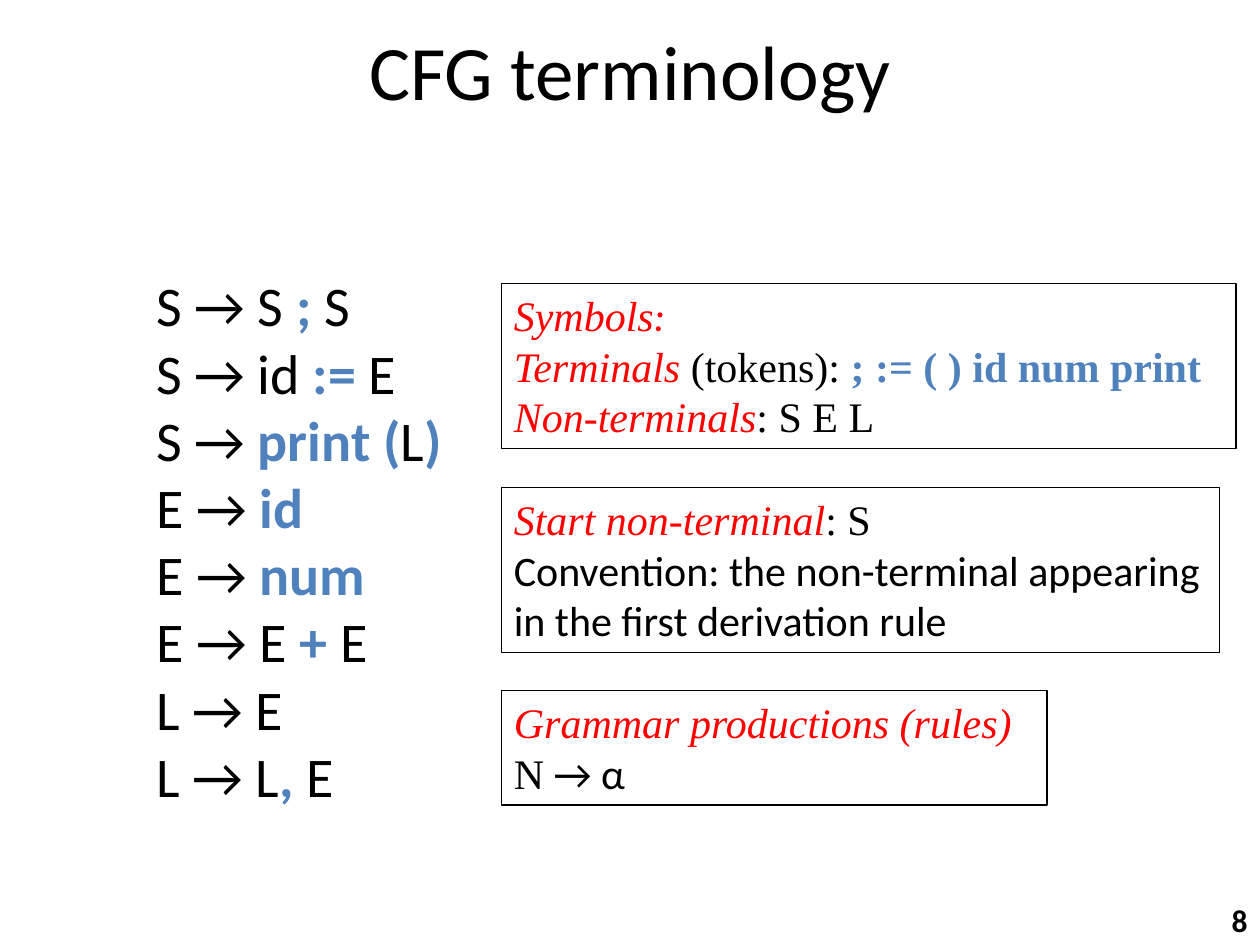
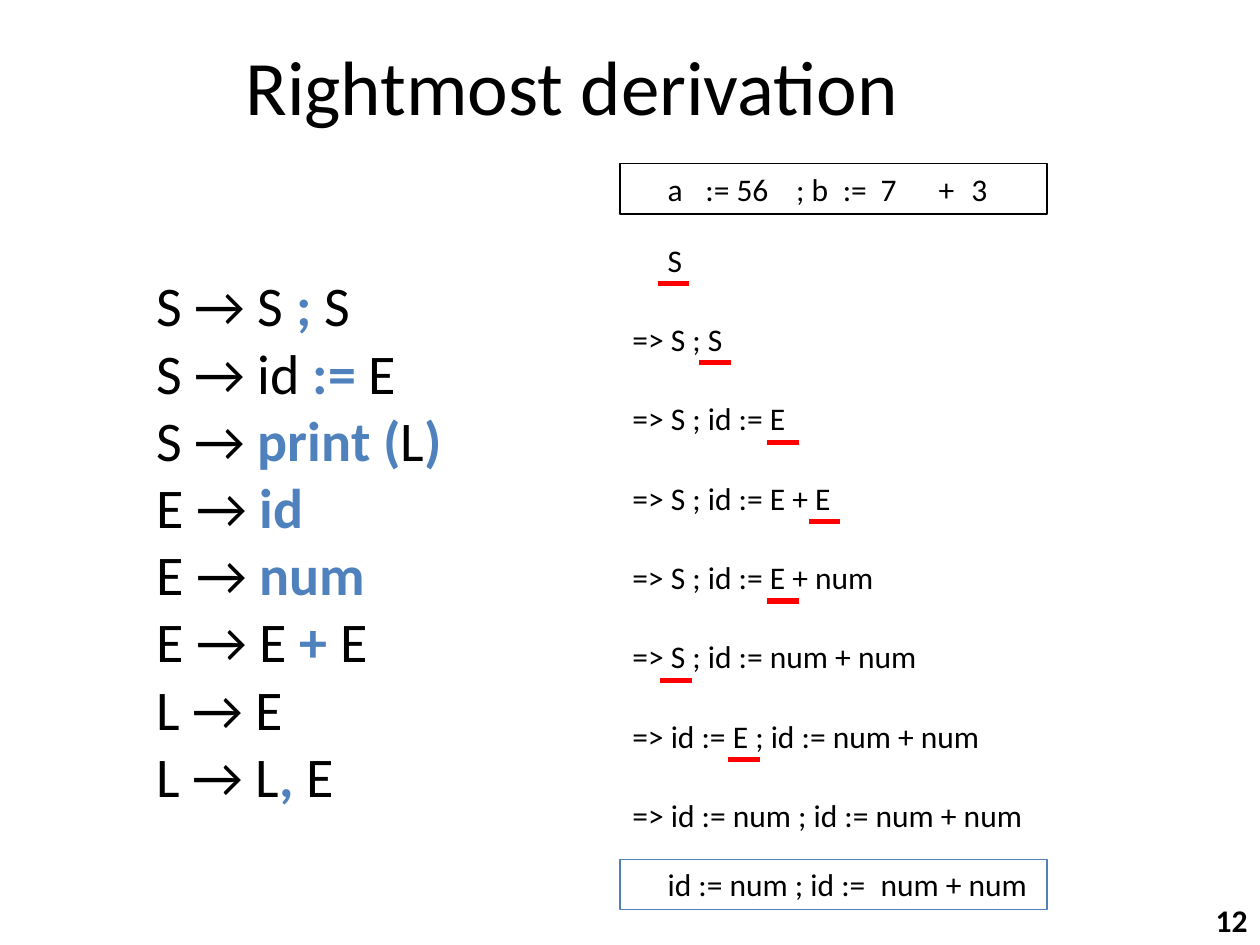
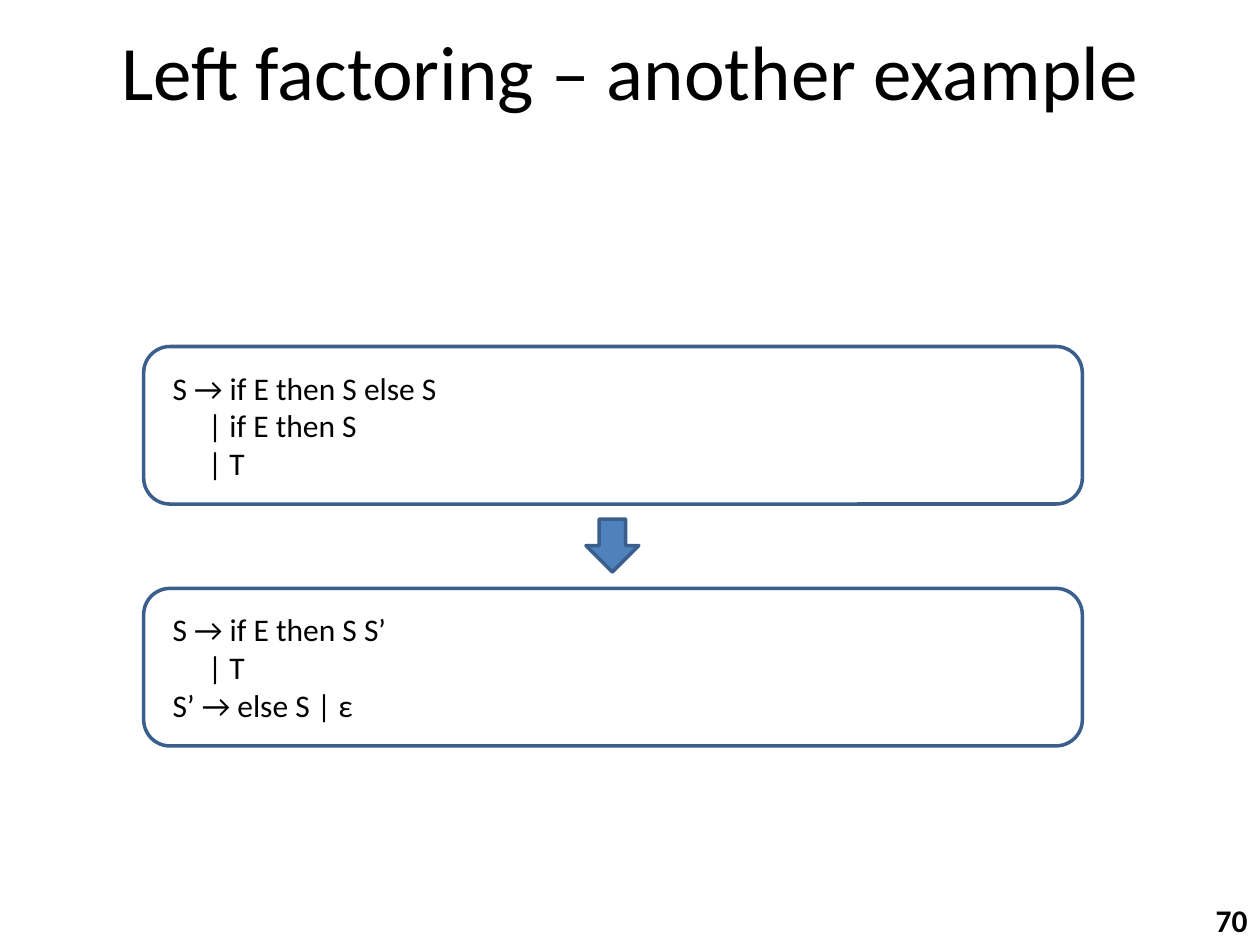
from dataclasses import dataclass
from typing import NamedTuple

from lxml import etree
from pptx import Presentation
from pptx.dml.color import RGBColor
from pptx.enum.shapes import MSO_CONNECTOR, MSO_SHAPE
from pptx.enum.text import MSO_ANCHOR, MSO_AUTO_SIZE, PP_ALIGN
from pptx.oxml.ns import qn
from pptx.util import Inches, Pt

RECT, ROUND, DOWN = MSO_SHAPE.RECTANGLE, MSO_SHAPE.ROUNDED_RECTANGLE, MSO_SHAPE.DOWN_ARROW
STRAIGHT = MSO_CONNECTOR.STRAIGHT
TOP, MIDDLE = MSO_ANCHOR.TOP, MSO_ANCHOR.MIDDLE
LEFT, CENTER, RIGHT = PP_ALIGN.LEFT, PP_ALIGN.CENTER, PP_ALIGN.RIGHT
GROW, FIXED = MSO_AUTO_SIZE.SHAPE_TO_FIT_TEXT, MSO_AUTO_SIZE.NONE
WIDE, HIGH = Inches(10), Inches(7.5)


@dataclass(frozen=True)
class Theme:
    black: str = "000000"
    blue: str = "4F81BD"
    navy: str = "3A5F8C"
    red: str = "FF0000"
    sans: str = "Calibri"
    serif: str = "Times New Roman"
    title: int = 44
    rules: int = 32
    note: int = 24
    small: int = 18
    thin: float = 0.75
    mid: float = 2
    thick: float = 3


THEME = Theme()


class Style(NamedTuple):
    font: str = THEME.sans
    color: str = THEME.black
    bold: bool = False
    italic: bool = False


PLAIN = Style()
TOKEN = Style(color=THEME.blue, bold=True)
HEAVY = Style(bold=True)
SERIF = Style(THEME.serif)
TERM = Style(THEME.serif, THEME.red, italic=True)


class Run(NamedTuple):
    text: str
    style: Style = PLAIN


class Line(NamedTuple):
    runs: list[Run]
    indent: float = 0
    tabs: tuple[float, ...] = ()


class Box(NamedTuple):
    """Place and size in percent of the slide."""
    x: float
    y: float
    w: float
    h: float

    def place(self) -> tuple[int, int, int, int]:
        return across(self.x), down(self.y), across(self.w), down(self.h)


class Step(NamedTuple):
    text: str
    width: float
    mark: float | None = None
    indent: float = 0


def across(share: float) -> int:
    return round(WIDE * share / 100)


def down(share: float) -> int:
    return round(HIGH * share / 100)


# Shared places
HEAD = Box(5, 1.73, 90, 11.33)
PAGE = Box(94.9, 94.67, 5.1, 5.33)
GRAMMAR = Box(11.4, 28, 25.2, 58.8)
GAP = 0.28  # inches, the inset of lines that hang under an arrow

# Parts at odd places are tokens
RULES = [
    ("S → S ", "; ", "S"),
    ("S → id ", ":= ", "E"),
    ("S → ", "print (", "L", ")"),
    ("E → ", "id"),
    ("E → ", "num"),
    ("E → E ", "+ ", "E"),
    ("L → E",),
    ("L → L", ", ", "E"),
]

# Slide 1: terms
NOTES = [
    (Box(39.8, 30, 58.3, 17.47), True, [
        Run("Symbols", TERM),
        Run(": \n", Style(color=THEME.red, italic=True)),
        Run("Terminals ", TERM),
        Run("(tokens): ", SERIF),
        Run("; := ( ) id num print\n", Style(THEME.serif, THEME.blue, bold=True)),
        Run("Non-terminals", TERM),
        Run(": S E L", SERIF),
    ]),
    (Box(39.8, 51.6, 57, 17.47), False, [
        Run("Start non-terminal", TERM),
        Run(": S\n", SERIF),
        Run("Convention: the non-terminal appearing\nin the first derivation rule"),
    ]),
    (Box(39.8, 73.07, 43.3, 12.13), True, [
        Run("Grammar productions (rules)\n", TERM),
        Run("N", SERIF),
        Run(" → α"),
    ]),
]

# Slide 2: derivation, marks give the left end of each underline
STEPS = [
    Step("S", 6.1, 52.2, GAP),
    Step("=> S ; S", 11.8, 55.5),
    Step("=> S ; id := E", 18.9, 60.9),
    Step("=> S ; id := E + E", 18.9, 64.2),
    Step("=> S ; id := E + num", 23.6, 60.9),
    Step("=> S ; id := num + num", 26.8, 52.4),
    Step("=> id := E ; id := num + num", 30.7, 57.8),
    Step("=> id := num ; id := num + num", 33.9),
]
STEP_X, STEP_Y, STEP_W, STEP_H, PITCH = 49.2, 24.8, 33.9, 5.33, 8.4
MARK_DROP, MARK_W = 5.2, 2.5
ENDS = [
    (17.33, THEME.black, "\ta\t:= 56\t; b\t:=\t7\t+\t3",
     (GAP, 0.58, 1.3, 1.67, 1.97, 2.43, 2.69)),
    (90.93, THEME.blue, "\tid := num ; id :=\tnum + num", (GAP, 1.97)),
]

# Slide 3: factoring, each line with its indent in inches
BASE = 0.07
FORMS = [
    (36.67, [("S → if E then S else S", BASE), ("| if E then S", BASE + GAP),
             ("| T", BASE + GAP)]),
    (62.27, [("S → if E then S S’", BASE), ("| T", BASE + GAP),
             ("S’ → else S | ε", BASE)]),
]
ARROW = Box(46.5, 54.93, 4.2, 5.6)


def write(shape, lines: list[Line], size: float, align=LEFT, anchor=TOP,
          fit=GROW, wrap: bool = True) -> None:
    frame = shape.text_frame
    frame.word_wrap, frame.auto_size, frame.vertical_anchor = wrap, fit, anchor
    for i, line in enumerate(lines):
        para = frame.add_paragraph() if i else frame.paragraphs[0]
        para.alignment = align
        props = para._p.get_or_add_pPr()
        if line.indent:
            props.set("marL", str(Inches(line.indent)))
            props.set("indent", "0")
        if line.tabs:
            stops = etree.SubElement(props, qn("a:tabLst"))
            for stop in line.tabs:
                etree.SubElement(stops, qn("a:tab"), pos=str(Inches(stop)), algn="l")
        for text, style in line.runs:
            for j, part in enumerate(text.split("\n")):
                if j:
                    para.add_line_break()
                if part:
                    run = para.add_run()
                    run.text = part
                    font = run.font
                    font.name, font.size = style.font, Pt(size)
                    font.bold, font.italic = style.bold, style.italic
                    font.color.rgb = RGBColor.from_string(style.color)


def label(slide, box: Box, lines: list[Line], size: float, **format) -> None:
    write(slide.shapes.add_textbox(*box.place()), lines, size, **format)


def panel(slide, kind, box: Box, color: str, width: float, fill: str | None = None):
    shape = slide.shapes.add_shape(kind, *box.place())
    shape.shadow.inherit = False
    shape.line.color.rgb = RGBColor.from_string(color)
    shape.line.width = Pt(width)
    if fill:
        shape.fill.solid()
        shape.fill.fore_color.rgb = RGBColor.from_string(fill)
    else:
        shape.fill.background()
    return shape


def underline(slide, x: float, y: float) -> None:
    line = slide.shapes.add_connector(
        STRAIGHT, across(x), down(y), across(x + MARK_W), down(y))
    line.line.color.rgb = RGBColor.from_string(THEME.red)
    line.line.width = Pt(THEME.thick)
    etree.SubElement(line._element.spPr, qn("a:effectLst"))


def start(deck, title: str, page: int, head: Box = HEAD):
    slide = deck.slides.add_slide(deck.slide_layouts[5])
    name = slide.shapes.title
    name.left, name.top, name.width, name.height = head.place()
    write(name, [Line([Run(title)])], THEME.title, CENTER, MIDDLE, FIXED)
    label(slide, PAGE, [Line([Run(str(page), HEAVY)])], THEME.small,
          align=RIGHT, fit=FIXED)
    return slide


def grammar(slide) -> None:
    lines = [Line([Run(part, TOKEN if i % 2 else PLAIN) for i, part in enumerate(rule)])
             for rule in RULES]
    label(slide, GRAMMAR, lines, THEME.rules)


def terms(deck) -> None:
    slide = start(deck, "CFG terminology", 8)
    for box, wrap, runs in NOTES:
        note = panel(slide, RECT, box, THEME.black, THEME.thin)
        write(note, [Line(runs)], THEME.note, wrap=wrap)
    grammar(slide)


def derive(deck) -> None:
    slide = start(deck, "Rightmost derivation", 12, Box(2.9, 0.67, 85, 16.67))
    for i, step in enumerate(STEPS):
        y = STEP_Y + i * PITCH
        label(slide, Box(STEP_X, y, step.width, STEP_H),
              [Line([Run(step.text)], step.indent)], THEME.small)
        if step.mark is not None:
            underline(slide, step.mark, y + MARK_DROP)
    for y, color, text, tabs in ENDS:
        end = panel(slide, RECT, Box(STEP_X, y, STEP_W, STEP_H), color, THEME.thin)
        write(end, [Line([Run(text)], tabs=tabs)], THEME.small)
    grammar(slide)


def factor(deck) -> None:
    slide = start(deck, "Left factoring – another example", 70)
    for y, rows in FORMS:
        form = panel(slide, ROUND, Box(11.4, y, 74.5, 16.67), THEME.navy, THEME.mid)
        write(form, [Line([Run(text)], indent) for text, indent in rows],
              THEME.small, anchor=MIDDLE, fit=FIXED)
    panel(slide, DOWN, ARROW, THEME.navy, THEME.mid, THEME.blue)


def main() -> None:
    deck = Presentation()
    deck.slide_width, deck.slide_height = WIDE, HIGH
    for build in (terms, derive, factor):
        build(deck)
    deck.save("out.pptx")


if __name__ == "__main__":
    main()
